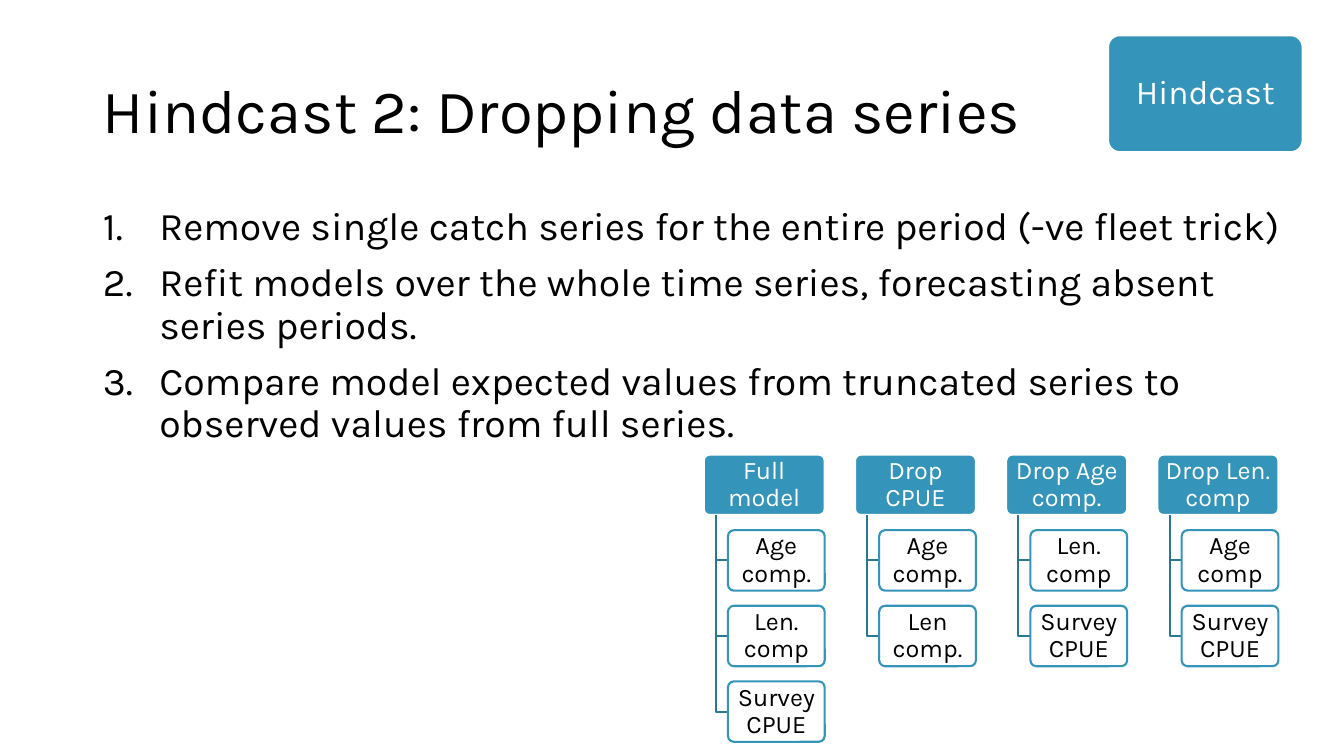
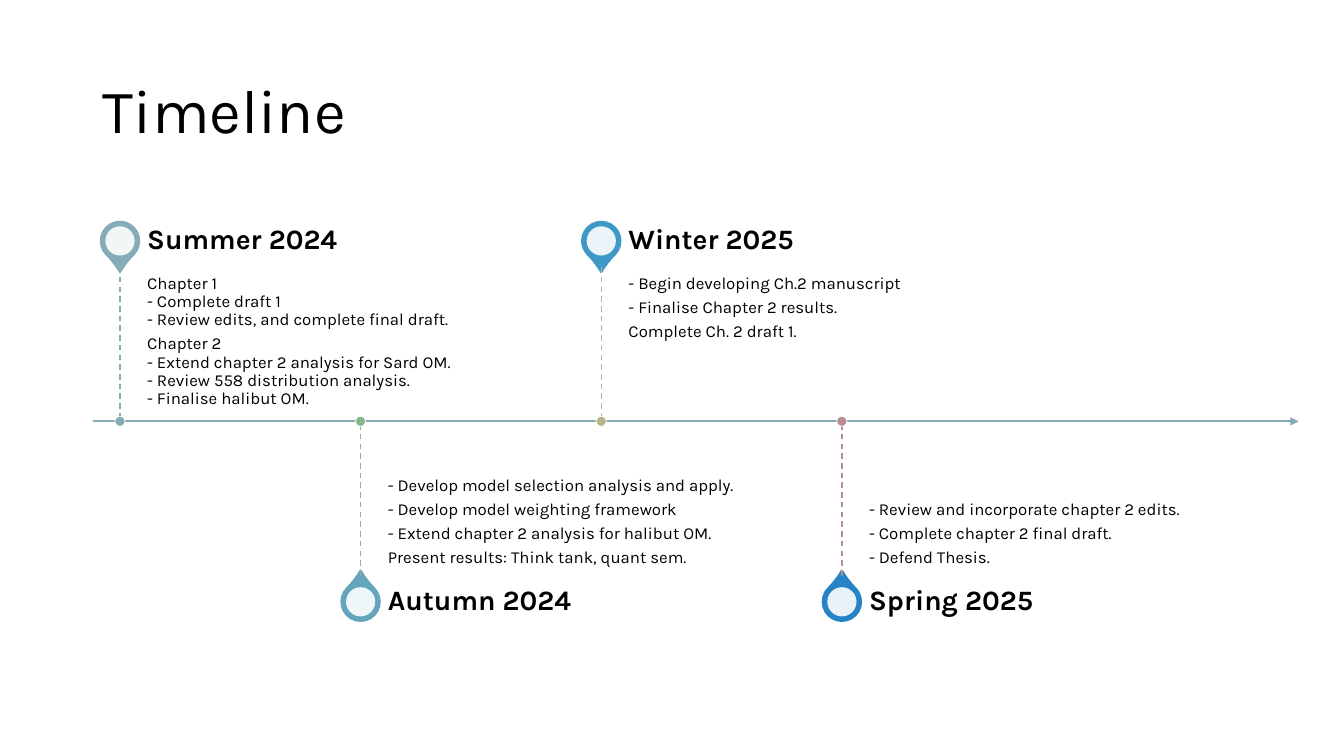
from dataclasses import dataclass

from lxml.etree import SubElement
from pptx import Presentation
from pptx.dml.color import RGBColor
from pptx.enum.dml import MSO_LINE
from pptx.enum.shapes import MSO_CONNECTOR, MSO_SHAPE
from pptx.enum.text import MSO_ANCHOR, MSO_AUTO_SIZE, PP_ALIGN
from pptx.oxml.ns import qn
from pptx.util import Inches, Pt

FONT = "Karla"
HUES = {
    "black": "000000",
    "white": "FFFFFF",
    "blue": "3494BA",
    "branch": "2A7795",
    "axis": "84ACB6",
    "teal": "64A4BC",
    "sky": "4098C6",
    "deep": "2683C6",
    "green": "86B78A",
    "sand": "B8B689",
    "rose": "B98B93",
}


@dataclass
class Box:
    left: float
    top: float
    width: float
    height: float


@dataclass
class Model:
    name: str
    inputs: list[str]


@dataclass
class Season:
    name: str
    notes: list[str]
    pin: str
    stem: str


TITLE = Box(0.92, 0.4, 11.5, 1.45)
BODY = Box(0.92, 2, 12, 4.76)
STEPS = [
    "Remove single catch series for the entire period (-ve fleet trick)",
    "Refit models over the whole time series, forecasting absent series periods.",
    "Compare model expected values from truncated series to observed values from full series.",
]
MODELS = [
    Model("Full model", ["Age comp.", "Len. comp", "Survey CPUE"]),
    Model("Drop CPUE", ["Age comp.", "Len comp."]),
    Model("Drop Age comp.", ["Len. comp", "Survey CPUE"]),
    Model("Drop Len. comp", ["Age comp", "Survey CPUE"]),
]
SEASONS = [
    Season("Summer 2024", [
        "Chapter 1\v- Complete draft 1\v- Review edits, and complete final draft.",
        "Chapter 2\v- Extend chapter 2 analysis for Sard OM.\v"
        "- Review 558 distribution analysis.\v- Finalise halibut OM.",
    ], "axis", "axis"),
    Season("Autumn 2024", [
        "- Develop model selection analysis and apply.",
        "- Develop model weighting framework",
        "- Extend chapter 2 analysis for halibut OM.",
        "Present results: Think tank, quant sem.",
    ], "teal", "green"),
    Season("Winter 2025", [
        "- Begin developing Ch.2 manuscript",
        "- Finalise Chapter 2 results.",
        "Complete Ch. 2 draft 1.",
    ], "sky", "sand"),
    Season("Spring 2025", [
        "- Review and incorporate chapter 2 edits.",
        "- Complete chapter 2 final draft.",
        "- Defend Thesis.",
    ], "deep", "rose"),
]


def tint(name: str) -> RGBColor:
    return RGBColor.from_string(HUES[name])


def place(shape, box: Box) -> None:
    shape.left, shape.top = Inches(box.left), Inches(box.top)
    shape.width, shape.height = Inches(box.width), Inches(box.height)


def write(frame, lines: list[str], size: float, hue: str = "black", bold: bool = False,
          align=PP_ALIGN.LEFT, before: float = 0, after: float = 0,
          indent: float = 0) -> None:
    frame.word_wrap = True
    frame.auto_size = MSO_AUTO_SIZE.NONE
    for spot, line in enumerate(lines):
        para = frame.add_paragraph() if spot else frame.paragraphs[0]
        para.text = line
        para.alignment = align
        para.line_spacing = 0.9
        para.space_before = Pt(before if spot else 0)
        para.space_after = Pt(after)
        if indent:
            props = para._p.get_or_add_pPr()
            props.set("marL", str(Inches(indent)))
            props.set("indent", str(-Inches(indent)))
            SubElement(props, qn("a:buAutoNum"), type="arabicPeriod")
        para.font.name = FONT
        para.font.size = Pt(size)
        para.font.bold = bold
        para.font.color.rgb = tint(hue)


def inset(frame, left: float, top: float, right: float, base: float) -> None:
    frame.margin_left, frame.margin_top = Inches(left), Inches(top)
    frame.margin_right, frame.margin_bottom = Inches(right), Inches(base)


def start(deck, layout: int, title: str):
    slide = deck.slides.add_slide(deck.slide_layouts[layout])
    head = slide.shapes.title
    place(head, TITLE)
    head.text_frame.vertical_anchor = MSO_ANCHOR.MIDDLE
    write(head.text_frame, [title], 44)
    return slide


def draw(slide, kind, box: Box, fill: str, line: str | None = None,
         weight: float = 1.5, alpha: int = 100):
    shape = slide.shapes.add_shape(kind, 0, 0, 0, 0)
    place(shape, box)
    shape.shadow.inherit = False
    shape.fill.solid()
    shape.fill.fore_color.rgb = tint(fill)
    if alpha < 100:
        solid = shape._element.spPr.find(qn("a:solidFill"))
        SubElement(solid[0], qn("a:alpha"), val=str(alpha * 1000))
    if line:
        shape.line.color.rgb = tint(line)
        shape.line.width = Pt(weight)
    else:
        shape.line.fill.background()
    return shape


def disc(slide, x: float, y: float, size: float, fill: str, **style):
    box = Box(x - size / 2, y - size / 2, size, size)
    return draw(slide, MSO_SHAPE.OVAL, box, fill, **style)


def card(slide, box: Box, text: str, solid: bool, size: float = 18,
         pad: tuple[float, float] = (0.04, 0.03)) -> None:
    fill, line, hue, alpha = (
        ("blue", "white", "white", 100) if solid else ("white", "blue", "black", 90))
    shape = draw(slide, MSO_SHAPE.ROUNDED_RECTANGLE, box, fill, line, alpha=alpha)
    shape.adjustments[0] = 0.1
    frame = shape.text_frame
    frame.vertical_anchor = MSO_ANCHOR.MIDDLE
    inset(frame, *pad, *pad)
    write(frame, [text], size, hue, align=PP_ALIGN.CENTER)


def elbow(slide, x: float, top: float, end: float, base: float) -> None:
    pen = slide.shapes.build_freeform(Inches(x), Inches(top))
    pen.add_line_segments(
        [(Inches(x), Inches(base)), (Inches(end), Inches(base))], close=False)
    shape = pen.convert_to_shape()
    shape.shadow.inherit = False
    shape.fill.background()
    shape.line.color.rgb = tint("branch")
    shape.line.width = Pt(1.5)


def tree(slide, model: Model, left: float) -> None:
    top, high = 4.51, 0.6
    card(slide, Box(left, top, 1.2, high), model.name, True)
    for row, name in enumerate(model.inputs, 1):
        y = top + 0.75 * row
        elbow(slide, left + 0.12, top + high, left + 0.24, y + high / 2)
        card(slide, Box(left + 0.24, y, 0.96, high), name, False)


def rule(slide, x: float, y: float, end: float, base: float, hue: str,
         weight: float, dash: bool = False, arrow: bool = False) -> None:
    line = slide.shapes.add_connector(
        MSO_CONNECTOR.STRAIGHT, Inches(x), Inches(y), Inches(end), Inches(base))
    line.line.color.rgb = tint(hue)
    line.line.width = Pt(weight)
    if dash:
        line.line.dash_style = MSO_LINE.DASH
    props = line._element.spPr
    if arrow:
        SubElement(props.find(qn("a:ln")), qn("a:tailEnd"), type="triangle")
    SubElement(props, qn("a:effectLst"))


def label(slide, box: Box, lines: list[str], size: float, anchor,
          pad: tuple[float, float, float, float], bold: bool = False) -> None:
    shape = slide.shapes.add_textbox(0, 0, 0, 0)
    place(shape, box)
    shape.text_frame.vertical_anchor = anchor
    inset(shape.text_frame, *pad)
    write(shape.text_frame, lines, size, bold=bold, after=size * 0.35)


def stage(slide, season: Season, x: float, y: float, above: bool) -> None:
    side = -1 if above else 1
    mid = y + side * 1.79
    size = 0.38
    drop = draw(slide, MSO_SHAPE.TEAR, Box(x - size / 2, mid - size / 2, size, size),
                season.pin, season.pin)
    drop.adjustments[0] = 1.15
    drop.rotation = 135 if above else 315
    disc(slide, x, mid, 0.29, "white", alpha=90)
    left, wide, high = x + 0.27, 3.98, 1.53
    anchor, pad = (
        (MSO_ANCHOR.TOP, (0, 0.08, 0.08, 0.12)) if above
        else (MSO_ANCHOR.BOTTOM, (0, 0.12, 0, 0.08)))
    label(slide, Box(left, y - high if above else y, wide, high),
          season.notes, 12, anchor, pad)
    label(slide, Box(left, mid - 0.27, wide, 0.54), [season.name], 20,
          MSO_ANCHOR.MIDDLE, (0, 0, 0.14, 0), True)
    rule(slide, x, y + side * high, x, y, season.stem, 1, dash=True)
    disc(slide, x, y, 0.1, season.stem, line="white", weight=0.5)


def hindcast(deck) -> None:
    slide = start(deck, 1, "Hindcast 2: Dropping data series")
    body = slide.placeholders[1]
    place(body, BODY)
    write(body.text_frame, STEPS, 28, before=10, indent=0.56)
    for spot, model in enumerate(MODELS):
        tree(slide, model, 6.98 + 1.5 * spot)
    card(slide, Box(10.99, 0.35, 1.93, 1.16), "Hindcast", True, 24, (0.1, 0.1))


def timeline(deck) -> None:
    slide = start(deck, 5, "Timeline")
    y = 4.18
    rule(slide, 0.92, y, 12.88, y, "axis", 1.5, arrow=True)
    for spot, season in enumerate(SEASONS):
        stage(slide, season, 1.19 + 7.16 / 3 * spot, y, spot % 2 == 0)


def main() -> None:
    deck = Presentation()
    deck.slide_width, deck.slide_height = Inches(13.33), Inches(7.5)
    hindcast(deck)
    timeline(deck)
    deck.save("out.pptx")


if __name__ == "__main__":
    main()
